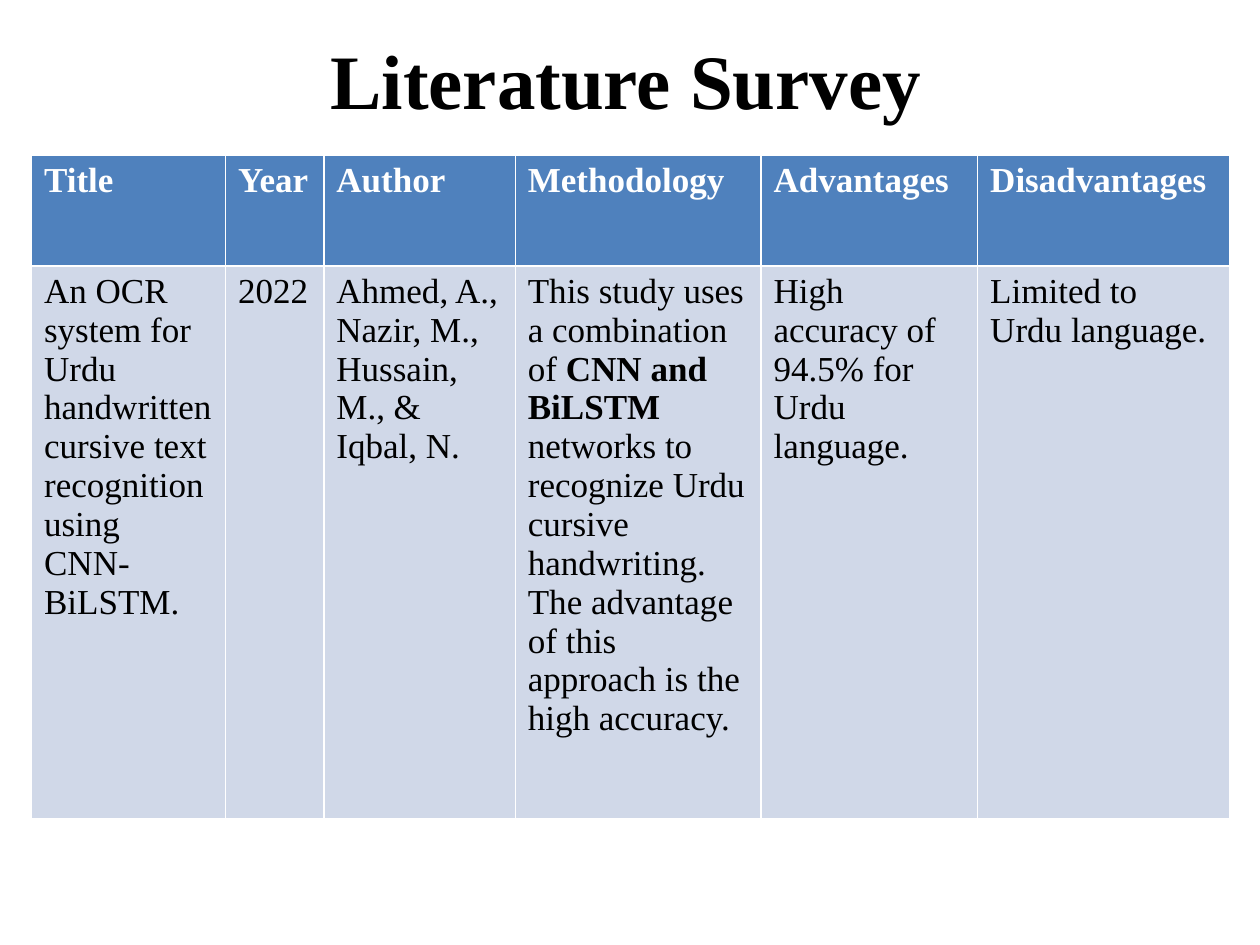
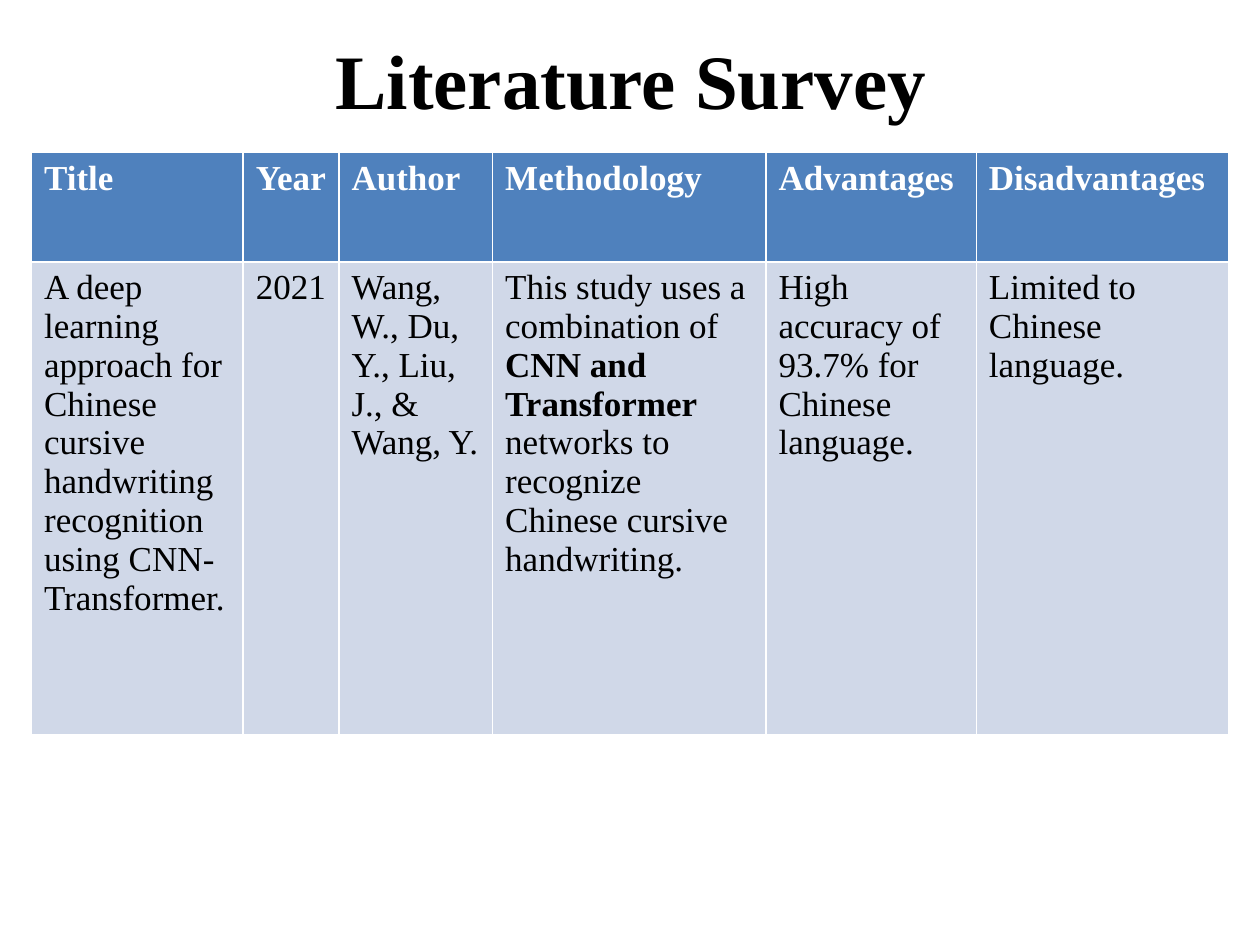
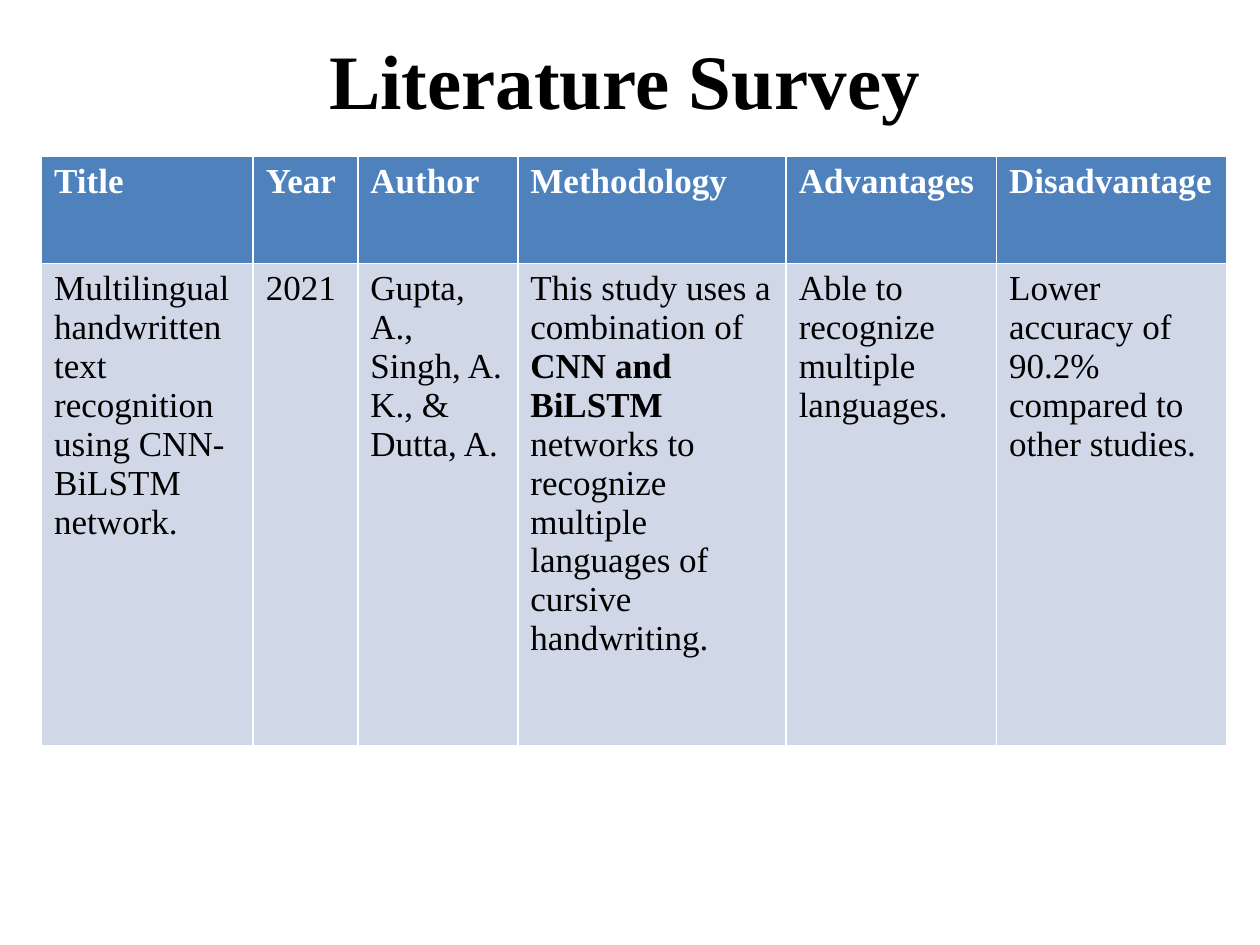
"""Build three literature survey slides, each a title over a study table."""
from pptx import Presentation
from pptx import util as u
from pptx.dml.color import RGBColor
from pptx.enum import text

WIDE, HIGH = u.Inches(10), u.Inches(7.5)
UNIT = WIDE // 100
BLACK = RGBColor(0x00, 0x00, 0x00)
WHITE = RGBColor(0xFF, 0xFF, 0xFF)
BLUE = RGBColor(0x4F, 0x81, 0xBD)
PALE = RGBColor(0xD0, 0xD8, 0xE8)

FACE = "Times New Roman"
TITLE = {"name": FACE, "size": u.Pt(44), "bold": True}
HEAD = {"name": FACE, "size": u.Pt(20), "bold": True}
BODY = {"name": FACE, "size": u.Pt(20), "bold": False}
FIELDS = ["Title", "Year", "Author", "Methodology", "Advantages"]

STUDIES = [
    {
        "title": 4.7, "left": 2.5, "top": 12.3,
        "cols": [15.4, 7.8, 15.2, 19.5, 17.2, 20], "rows": [8.8, 43.9],
        "last": "Disadvantages",
        "cells": [
            "An OCR system for Urdu handwritten cursive text recognition "
            "using CNN-BiLSTM.",
            "2022",
            "Ahmed, A., Nazir, M., Hussain, M., & Iqbal, N.",
            "This study uses a combination of *CNN and BiLSTM *networks to "
            "recognize Urdu cursive handwriting. The advantage of this "
            "approach is the high accuracy.",
            "High accuracy of 94.5% for Urdu language.",
            "Limited to Urdu language.",
        ],
    },
    {
        "title": 5.1, "left": 2.5, "top": 12.1,
        "cols": [16.8, 7.6, 12.2, 21.7, 16.7, 20], "rows": [8.7, 37.5],
        "last": "Disadvantages",
        "cells": [
            "A deep learning approach for Chinese cursive handwriting "
            "recognition using CNN-Transformer.",
            "2021",
            "Wang, W., Du, Y., Liu, J., & Wang, Y.",
            "This study uses a combination of *CNN and Transformer *networks "
            "to recognize Chinese cursive handwriting.",
            "High accuracy of 93.7% for Chinese language.",
            "Limited to Chinese language.",
        ],
    },
    {
        "title": 4.6, "left": 3.3, "top": 12.4,
        "cols": [16.8, 8.3, 12.7, 21.3, 16.7, 18.3], "rows": [8.5, 38.3],
        "last": "Disadvantage",
        "cells": [
            "Multilingual handwritten text recognition using CNN-BiLSTM "
            "network.",
            "2021",
            "Gupta, A., Singh, A. K., & Dutta, A.",
            "This study uses a combination of *CNN and BiLSTM *networks to "
            "recognize multiple languages of cursive handwriting.",
            "Able to recognize multiple languages.",
            "Lower accuracy of 90.2% compared to other studies.",
        ],
    },
]


def grid(count):
    """Turn grid units, each a hundredth of the slide's width, into a length."""
    return u.Emu(round(count * UNIT))


def style(font, form, color):
    """Apply a dict of format values and a colour to a font."""
    for key, value in form.items():
        setattr(font, key, value)
    font.color.rgb = color


def write(para, words, form, color):
    """Write words as runs, with the parts between asterisks in bold."""
    for spot, part in enumerate(words.split("*")):
        run = para.add_run()
        run.text = part
        style(run.font, form | {"bold": form["bold"] or spot % 2 == 1}, color)


def head(slide, left):
    """Place and fill the slide's title."""
    shape = slide.shapes.title
    place = {"left": grid(left), "top": 0, "width": grid(90),
             "height": grid(12.5)}
    for key, value in place.items():
        setattr(shape, key, value)
    shape.text_frame.vertical_anchor = text.MSO_ANCHOR.MIDDLE
    para = shape.text_frame.paragraphs[0]
    para.alignment = text.PP_ALIGN.CENTER
    write(para, "Literature Survey", TITLE, BLACK)


def fill(row, cells, form, color, back):
    """Fill one table row with text on a plain ground."""
    for cell, words in zip(row.cells, cells):
        cell.fill.solid()
        cell.fill.fore_color.rgb = back
        write(cell.text_frame.paragraphs[0], words, form, color)


def chart(slide, study):
    """Add the table of one study."""
    cols, rows = study["cols"], study["rows"]
    table = slide.shapes.add_table(
        len(rows), len(cols), grid(study["left"]), grid(study["top"]),
        grid(sum(cols)), grid(sum(rows))).table
    for col, width in zip(table.columns, cols):
        col.width = grid(width)
    for row, height in zip(table.rows, rows):
        row.height = grid(height)
    fill(table.rows[0], FIELDS + [study["last"]], HEAD, WHITE, BLUE)
    fill(table.rows[1], study["cells"], BODY, BLACK, PALE)


def main():
    """Build and save the deck."""
    deck = Presentation()
    deck.slide_width, deck.slide_height = WIDE, HIGH
    for study in STUDIES:
        slide = deck.slides.add_slide(deck.slide_layouts[5])
        head(slide, study["title"])
        chart(slide, study)
    deck.save("out.pptx")


if __name__ == "__main__":
    main()
